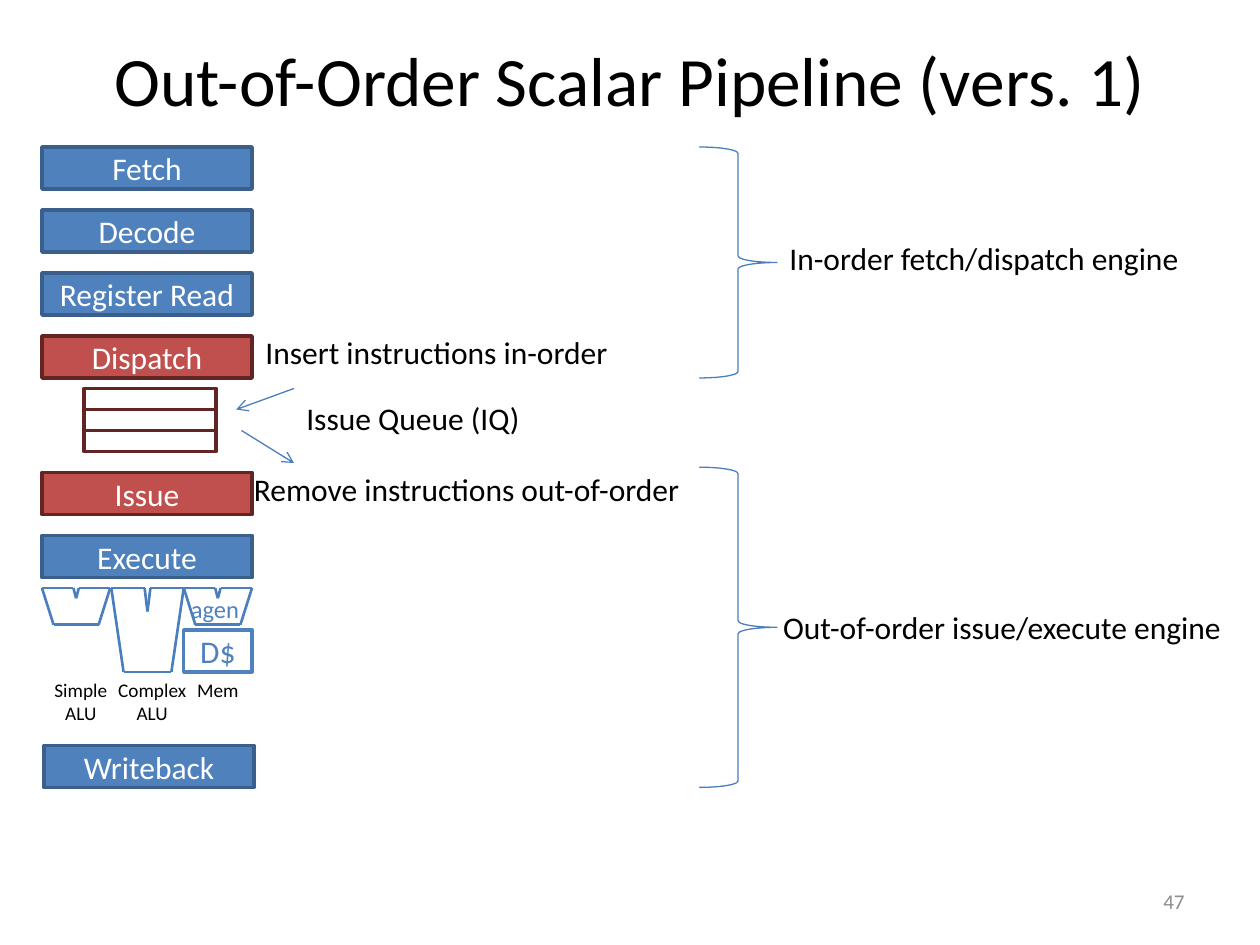
"""Build the out-of-order scalar pipeline slide."""
from dataclasses import dataclass

from lxml import etree
from pptx import Presentation
from pptx.dml.color import RGBColor
from pptx.enum.shapes import MSO_CONNECTOR, MSO_SHAPE
from pptx.enum.text import MSO_ANCHOR, MSO_AUTO_SIZE, PP_ALIGN
from pptx.oxml.ns import qn
from pptx.util import Inches, Pt

LINE = MSO_CONNECTOR.STRAIGHT
RECT, BRACE = MSO_SHAPE.RECTANGLE, MSO_SHAPE.RIGHT_BRACE
LEFT, MID, RIGHT = PP_ALIGN.LEFT, PP_ALIGN.CENTER, PP_ALIGN.RIGHT
MIDDLE, GROW = MSO_ANCHOR.MIDDLE, MSO_AUTO_SIZE.SHAPE_TO_FIT_TEXT


@dataclass(frozen=True)
class Theme:
    font: str = "Calibri"
    blue: str = "4F81BD"
    edge: str = "3A5F8C"
    wire: str = "4B7EBC"
    red: str = "C0504D"
    dark: str = "632523"
    black: str = "000000"
    white: str = "FFFFFF"
    grey: str = "8C8C8C"
    title: float = 39.6
    body: float = 18
    agen: float = 14
    page: float = 12
    small: float = 11
    thick: float = 2
    mid: float = 1.5
    thin: float = 0.75


T = Theme()
UNIT = 1 / 12
SIZE = 120, 90
TITLE = ("Out-of-Order Scalar Pipeline (vers. 1)", (6, 0, 108, 15))
BLUE, RED = (T.blue, T.edge), (T.red, T.dark)
STAGE_W, STAGE_H = 20, 4
STAGES = [
    ("Fetch", 4, 14, BLUE),
    ("Decode", 4, 20, BLUE),
    ("Register Read", 4, 26, BLUE),
    ("Dispatch", 4, 32, RED),
    ("Issue", 4, 45, RED),
    ("Execute", 4, 51, BLUE),
    ("Writeback", 4.2, 71, BLUE),
]
UNITS = [(4, 6.5, 3.5), (10.6, 6.9, 8), (17.5, 6.5, 3.5)]
UNIT_TOP = 56
OUTLINE = [(0, 0), (0.17, 1), (0.83, 1), (1, 0),
           (0.54, 0), (0.5, 0.28), (0.46, 0)]
CACHE = ("D$", (17.5, 60, 6.5, 4))
QUEUE = (8, 37, 12.6, 2)
SLOTS = 3
ARROWS = [((28, 37), (22.5, 39)), ((23, 41), (28, 44.1))]
BRACES = [(66.6, 14, 7.4, 22), (66.6, 44.5, 7.4, 30.5)]
LABELS = [
    ("agen", (17, 56, 7.1, 4.1), T.agen, T.blue, LEFT),
    ("Simple\nALU", (3.7, 64, 8, 5.6), T.small, T.black, MID),
    ("Complex\nALU", (9.8, 64, 9.4, 5.6), T.small, T.black, MID),
    ("Mem", (17.6, 64, 6.4, 3.5), T.small, T.black, LEFT),
    ("Insert instructions in-order", (24.1, 31.1, 35.4, 4.8),
     T.body, T.black, LEFT),
    ("Remove instructions out-of-order", (23, 44.2, 43.6, 4.8),
     T.body, T.black, LEFT),
    ("Issue Queue (IQ)", (28, 37.4, 23, 4.8), T.body, T.black, LEFT),
    ("In-order fetch/dispatch engine", (74, 22.2, 40, 4.8),
     T.body, T.black, LEFT),
    ("Out-of-order issue/execute engine", (73.4, 57.3, 44.8, 4.8),
     T.body, T.black, LEFT),
]
PAGE = ("47", (86, 83.4, 28, 4.8))


def grid(vals):
    return [Inches(v * UNIT) for v in vals]


def ink(code):
    return RGBColor.from_string(code)


def write(frame, text, size, tint, align):
    para = frame.paragraphs[0]
    para.alignment = align
    for i, part in enumerate(text.split("\n")):
        if i:
            para.add_line_break()
        run = para.add_run()
        run.text = part
        run.font.name = T.font
        run.font.size = Pt(size)
        run.font.color.rgb = ink(tint)


def shape(home, kind, box, fill, edge, width):
    item = home.add_shape(kind, *grid(box))
    item.shadow.inherit = False
    if fill:
        item.fill.solid()
        item.fill.fore_color.rgb = ink(fill)
    else:
        item.fill.background()
    item.line.color.rgb = ink(edge)
    item.line.width = Pt(width)
    return item


def block(home, text, box, fill, edge, tint):
    frame = shape(home, RECT, box, fill, edge, T.thick).text_frame
    frame.word_wrap = True
    frame.vertical_anchor = MIDDLE
    write(frame, text, T.body, tint, MID)


def wire(home, start, end, width, arrow=False):
    item = home.add_connector(LINE, *grid(start + end))
    item.line.color.rgb = ink(T.wire)
    item.line.width = Pt(width)
    props = item.element.spPr
    if arrow:
        etree.SubElement(props.find(qn("a:ln")), qn("a:tailEnd"),
                         type="arrow")
    etree.SubElement(props, qn("a:effectLst"))


def label(home, text, box, size, tint, align):
    frame = home.add_textbox(*grid(box)).text_frame
    frame.word_wrap = False
    frame.auto_size = GROW
    write(frame, text, size, tint, align)


def alu(home, x, wide, tall):
    group = home.add_group_shape().shapes
    ends = [(x + wide * a, UNIT_TOP + tall * b) for a, b in OUTLINE]
    for start, end in zip(ends, ends[1:] + ends[:1]):
        wire(group, start, end, T.mid)


def queue(home):
    group = home.add_group_shape().shapes
    x, y, wide, tall = QUEUE
    for i in range(SLOTS):
        shape(group, RECT, (x, y + i * tall, wide, tall),
              None, T.dark, T.thick)


def main():
    deck = Presentation()
    deck.slide_width, deck.slide_height = grid(SIZE)
    home = deck.slides.add_slide(deck.slide_layouts[5]).shapes

    head = home.title
    text, box = TITLE
    head.left, head.top, head.width, head.height = grid(box)
    head.text_frame.vertical_anchor = MIDDLE
    write(head.text_frame, text, T.title, T.black, MID)

    for text, x, y, (fill, edge) in STAGES:
        block(home, text, (x, y, STAGE_W, STAGE_H), fill, edge, T.white)
    for part in UNITS:
        alu(home, *part)
    block(home, *CACHE, None, T.blue, T.blue)
    queue(home)
    for start, end in ARROWS:
        wire(home, start, end, T.thin, True)
    for box in BRACES:
        shape(home, BRACE, box, None, T.wire, T.thin)
    for item in LABELS:
        label(home, *item)

    text, box = PAGE
    frame = home.add_textbox(*grid(box)).text_frame
    frame.word_wrap = True
    frame.vertical_anchor = MIDDLE
    write(frame, text, T.page, T.grey, RIGHT)
    deck.save("out.pptx")


if __name__ == "__main__":
    main()
